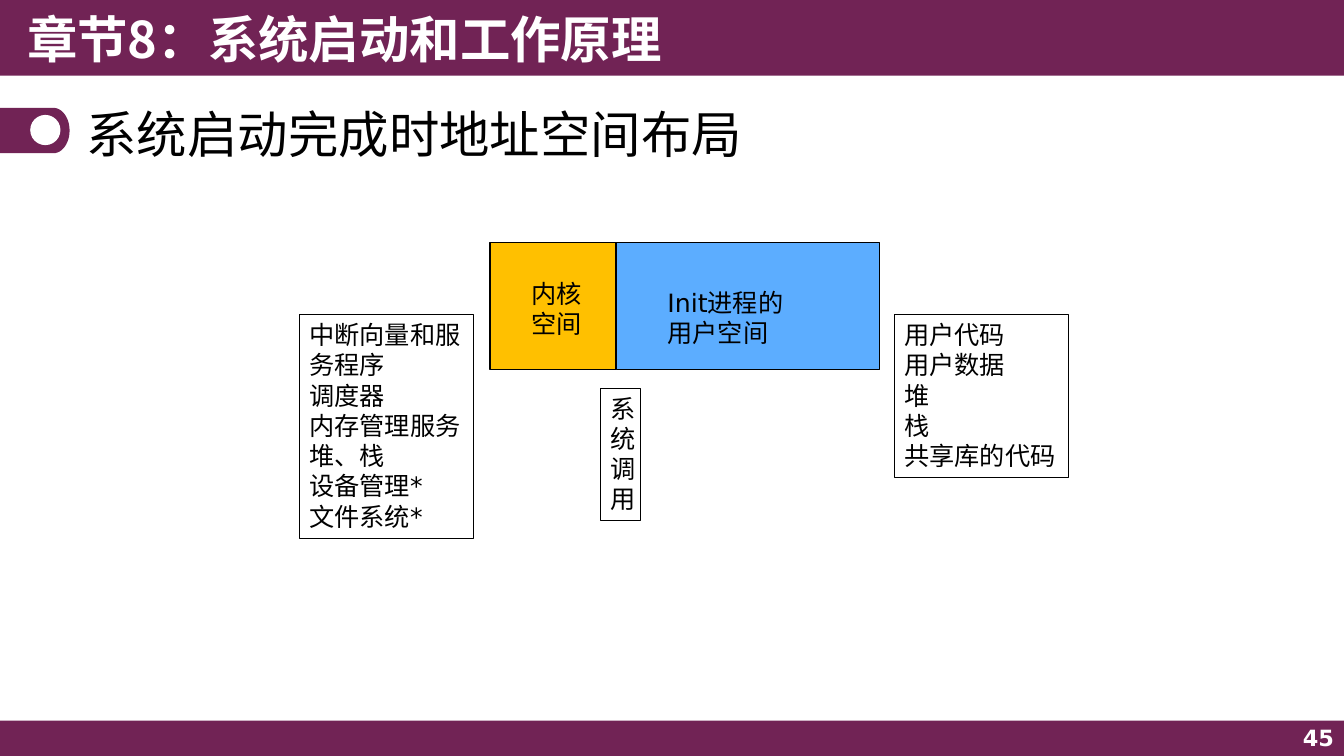
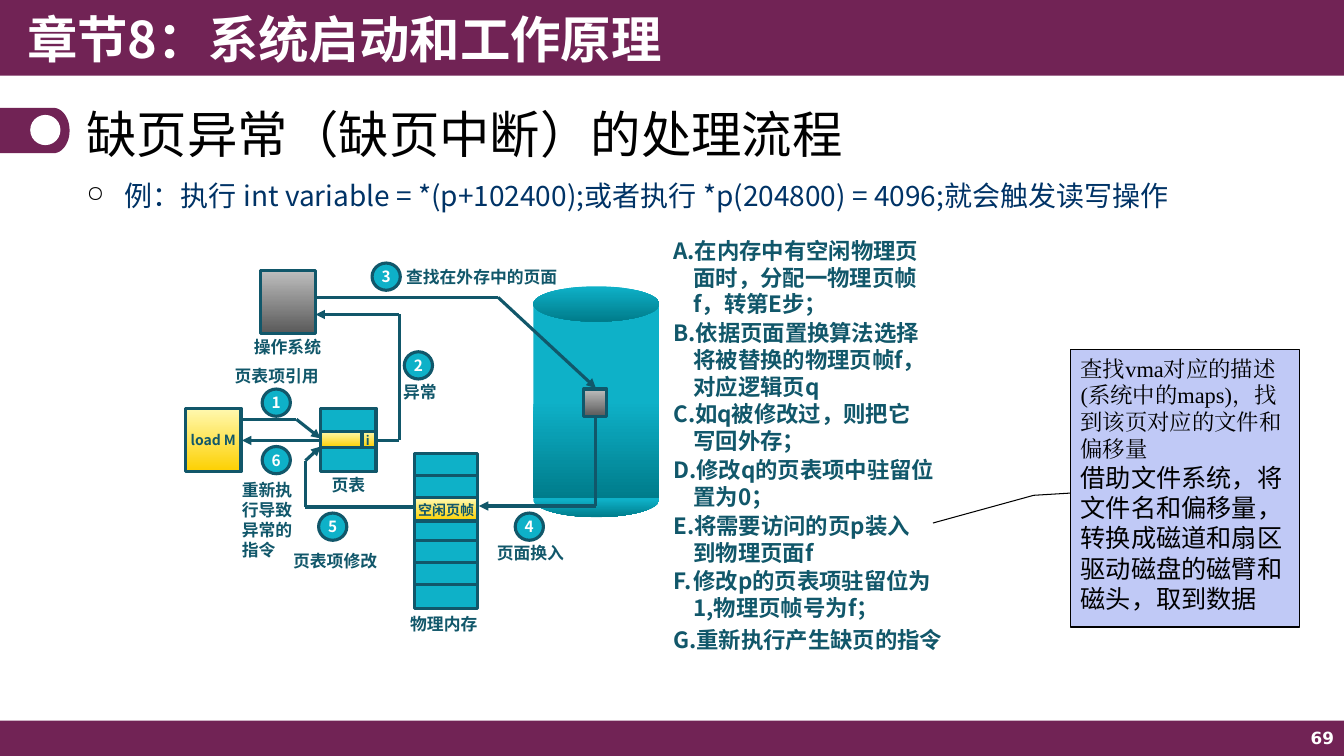
from itertools import pairwise
from math import cos, pi, sin

from lxml.etree import SubElement
from pptx import Presentation
from pptx.dml.color import RGBColor
from pptx.enum.shapes import MSO_CONNECTOR, MSO_SHAPE
from pptx.enum.text import MSO_ANCHOR, PP_ALIGN
from pptx.oxml.ns import qn
from pptx.util import Inches, Pt

PLUM = RGBColor(0x71, 0x23, 0x55)
WHITE = RGBColor(0xFF, 0xFF, 0xFF)
BLACK = RGBColor(0, 0, 0)
BLUE = RGBColor(0x5C, 0xAD, 0xFF)
GOLD = RGBColor(0xFF, 0xC0, 0x00)
NAVY = RGBColor(0x00, 0x33, 0x66)
TEAL = RGBColor(0x11, 0x57, 0x6A)
CYAN = RGBColor(0x0E, 0xB1, 0xC8)
DEEP = RGBColor(0x00, 0x7C, 0x8B)
LILAC = RGBColor(0xC0, 0xC9, 0xF6)
CREAM = RGBColor(0xFF, 0xF9, 0xB1)
AMBER = RGBColor(0xFD, 0xD0, 0x00)
SILVER = RGBColor(0xBF, 0xBF, 0xBF)
GREY = RGBColor(0x59, 0x59, 0x59)

YELLOW = (CREAM, AMBER, 0)
METAL = (SILVER, GREY, 0)
WATER = (CYAN, DEEP, 0)
DEPTH = (CYAN, DEEP, 0.5)

CJK = "Noto Sans CJK SC"
SANS = "DejaVu Sans"
SERIF = "Times New Roman"
RECT = MSO_SHAPE.RECTANGLE
OVAL = MSO_SHAPE.OVAL
WIDE, HIGH = 13.33, 7.5


def write(frame, text, size, color, font=CJK, east=CJK, bold=False, align=PP_ALIGN.LEFT):
    """Add one paragraph to a frame and return it."""
    first = frame.paragraphs[0]
    para = frame.add_paragraph() if first.runs else first
    para.alignment = align
    para.line_spacing = Pt(round(size * 1.2, 1))
    run = para.add_run()
    run.text = text
    run.font.size = Pt(size)
    run.font.name = font
    run.font.bold = bold
    run.font.color.rgb = color
    SubElement(run.font._element, qn("a:ea")).set("typeface", east)
    return para


def setup(frame, anchor=MSO_ANCHOR.TOP, wrap=True, left=0.1, top=0.05):
    """Set the anchor, wrapping and insets of a frame."""
    frame.word_wrap = wrap
    frame.vertical_anchor = anchor
    frame.margin_left = Inches(left)
    frame.margin_top = Inches(top)
    return frame


def area(slide, x, y, w, h, **opts):
    """Add a text box and return its frame."""
    box = slide.shapes.add_textbox(Inches(x), Inches(y), Inches(w), Inches(h))
    return setup(box.text_frame, **opts)


def paint(shape, fill=None, line=None, width=2.25):
    """Give a shape a plain, graded or empty fill and an outline."""
    shape.shadow.inherit = False
    if fill is None:
        shape.fill.background()
    elif isinstance(fill, RGBColor):
        shape.fill.solid()
        shape.fill.fore_color.rgb = fill
    else:
        shape.fill.gradient()
        shape.fill.gradient_angle = 270
        for stop, color, place in zip(shape.fill.gradient_stops, fill, (fill[2], 1)):
            stop.color.rgb = color
            stop.position = place
    if line is None:
        shape.line.fill.background()
    else:
        shape.line.color.rgb = line
        shape.line.width = Pt(width)


def block(slide, kind, x, y, w, h, fill=None, line=None, width=2.25):
    """Add a painted preset shape."""
    shape = slide.shapes.add_shape(kind, Inches(x), Inches(y), Inches(w), Inches(h))
    paint(shape, fill, line, width)
    return shape


def route(slide, *points, arrow=True):
    """Join points with straight lines, ending in an arrowhead."""
    for start, end in pairwise(points):
        ends = [Inches(v) for v in (*start, *end)]
        link = slide.shapes.add_connector(MSO_CONNECTOR.STRAIGHT, *ends)
        link.line.color.rgb = TEAL
        link.line.width = Pt(2.25)
        if arrow and end == points[-1]:
            SubElement(link.line._get_or_add_ln(), qn("a:tailEnd")).set("type", "triangle")
        SubElement(link._element.spPr, qn("a:effectLst"))


def label(slide, text, x, y, w, h=0.3, size=12):
    """Add a bold teal label."""
    write(area(slide, x, y, w, h), text, size, TEAL, bold=True)


def center(shape, text, size, color):
    """Put short bold text in the middle of a shape."""
    frame = setup(shape.text_frame, MSO_ANCHOR.MIDDLE, False)
    write(frame, text, size, color, bold=True, align=PP_ALIGN.CENTER)


def badge(slide, num, x, y):
    """Add a numbered step circle."""
    center(block(slide, OVAL, x, y, 0.28, 0.27, CYAN, TEAL), str(num), 11, WHITE)


def marker(slide, y, w=0.69, h=0.45):
    """Draw the rounded tab and its dot beside the title."""
    rx, ry, steps = 0.16, h / 2, 24
    turns = [pi * (i / steps - 0.5) for i in range(steps + 1)]
    arc = [(w - rx + rx * cos(t), y + ry + ry * sin(t)) for t in turns]
    form = slide.shapes.build_freeform(0, Inches(y), scale=1.0)
    form.add_line_segments([(Inches(a), Inches(b)) for a, b in [*arc, (0, y + h)]])
    paint(form.convert_to_shape(), PLUM)
    block(slide, OVAL, 0.3, y + 0.07, 0.3, 0.3, WHITE)


def base(deck, title, num, size):
    """Add a slide with bands, chapter, title and page number."""
    slide = deck.slides.add_slide(deck.slide_layouts[6])
    block(slide, RECT, 0, 7.15, WIDE, 0.35, PLUM)
    block(slide, RECT, 0, 0, WIDE, 0.75, PLUM)
    marker(slide, 1.07)
    write(area(slide, 0.17, 0.03, 7.6, 0.74), "章节8：系统启动和工作原理", 36, WHITE, bold=True)
    write(area(slide, 0.76, 0.95, 11.81, 0.74, anchor=MSO_ANCHOR.MIDDLE), title, 36, BLACK)
    page = area(slide, 10.33, 7.14, 3, 0.36, anchor=MSO_ANCHOR.MIDDLE)
    write(page, str(num), size, WHITE, SANS, bold=True, align=PP_ALIGN.RIGHT)
    return slide


def panel(slide, lines, x, y, w, h, fill=None, left=0.1, top=0.05):
    """Add a thinly outlined box with lines of text."""
    shape = block(slide, RECT, x, y, w, h, fill, BLACK, 0.75)
    frame = setup(shape.text_frame, left=left, top=top)
    for text in lines:
        write(frame, text, 18, BLACK, SANS)


def space(slide, x, y):
    """Draw the address space and the boxes around it."""
    panel(slide, ["内核", "空间"], x, y, 1.25, 1.26, GOLD, 0.41, 0.35)
    panel(slide, ["Init进程的", "用户空间"], x + 1.25, y, 2.61, 1.26, BLUE, 0.51, 0.44)
    panel(slide, ["中断向量和服务程序", "调度器", "内存管理服务", "堆、栈", "设备管理*", "文件系统*"],
          x - 1.89, y + 0.71, 1.73, 2.22)
    panel(slide, ["用户代码", "用户数据", "堆", "栈", "共享库的代码"], x + 4.01, y + 0.71, 1.73, 1.62)
    panel(slide, ["系统调用"], x + 1.1, y + 1.44, 0.39, 1.31)


def disk(slide, x, y):
    """Draw the disk cylinder with a page on it."""
    block(slide, OVAL, x, y + 1.94, 1.25, 0.35, DEPTH)
    block(slide, RECT, x, y + 0.18, 1.25, 1.92, DEPTH)
    block(slide, OVAL, x, y, 1.25, 0.35, WATER)
    block(slide, RECT, x + 0.5, y + 1.02, 0.23, 0.27, METAL, TEAL)


def table(slide, x, y):
    """Draw the page table with its marked entry."""
    block(slide, RECT, x, y, 0.55, 0.63, CYAN, TEAL)
    block(slide, RECT, x, y + 0.23, 0.55, 0.16, YELLOW, TEAL)
    route(slide, (x + 0.41, y + 0.23), (x + 0.41, y + 0.39), arrow=False)
    label(slide, "i", x + 0.35, y + 0.2, 0.25, 0.25, 9)
    label(slide, "页表", x + 0.01, y + 0.61, 1.2)


def memory(slide, x, y):
    """Draw physical memory with its free frame."""
    block(slide, RECT, x, y, 0.63, 1.54, CYAN, TEAL)
    for row in (1, 4, 5, 6):
        level = y + row * 0.22 - (0.02 if row > 1 else 0)
        route(slide, (x, level), (x + 0.63, level), arrow=False)
    center(block(slide, RECT, x, y + 0.44, 0.63, 0.23, YELLOW, TEAL), "空闲页帧", 10, TEAL)
    label(slide, "物理内存", x - 0.14, y + 1.54, 1.02)


def flow(slide, x, y):
    """Draw the page fault parts, arrows and step labels."""
    disk(slide, x + 3.45, y + 0.24)
    block(slide, RECT, x + 0.74, y + 0.08, 0.55, 0.63, METAL, TEAL)
    label(slide, "操作系统", x + 0.58, y + 0.69, 1.02)
    center(block(slide, RECT, x, y + 1.45, 0.55, 0.63, YELLOW, TEAL), "load M", 10, TEAL)
    table(slide, x + 1.34, y + 1.45)
    memory(slide, x + 2.27, y + 1.9)
    routes = [
        [(0.56, 1.56), (1.1, 1.56), (1.34, 1.75)],
        [(1.88, 1.77), (2.12, 1.77), (2.12, 0.52), (1.29, 0.52)],
        [(1.3, 0.35), (3.1, 0.35), (4.07, 1.25)],
        [(4.07, 1.53), (4.07, 2.42), (2.91, 2.42)],
        [(2.27, 2.43), (1.19, 2.43), (1.19, 1.97), (1.34, 1.83)],
        [(1.34, 1.77), (0.56, 1.77)],
    ]
    for points in routes:
        route(slide, *[(x + a, y + b) for a, b in points])
    steps = [
        ((0.76, 1.26), "页表项引用", (0.39, 0.98, 1.1)),
        ((2.17, 0.89), "异常", (2.06, 1.14, 0.6)),
        ((1.85, 0.01), "查找在外存中的页面", (2.09, 0, 1.87)),
        ((3.27, 2.49), "页面换入", (2.99, 2.74, 1.1)),
        ((1.32, 2.49), "页表项修改", (0.97, 2.81, 1.1)),
        ((0.76, 1.83), "重新执行导致异常的指令", (0.46, 2.11, 0.79)),
    ]
    for num, ((a, b), text, (left, top, w)) in enumerate(steps, 1):
        badge(slide, num, x + a, y + b)
        label(slide, text, x + left, y + top, w)


def listing(slide, x, y):
    """Write the lettered handling steps."""
    items = [
        ("在内存中有空闲物理页面时，分配一物理页帧f，转第E步；", 0, 2.8, 0.91),
        ("依据页面置换算法选择将被替换的物理页帧f，对应逻辑页q", 0.82, 2.8, 0.91),
        ("如q被修改过，则把它写回外存；", 1.62, 2.75, 0.64),
        ("修改q的页表项中驻留位置为0；", 2.18, 2.95, 0.64),
        ("将需要访问的页p装入到物理页面f", 2.73, 2.75, 0.64),
        ("修改p的页表项驻留位为1,物理页帧号为f；", 3.28, 2.93, 0.64),
        ("重新执行产生缺页的指令", 3.86, 3.03, 0.37),
    ]
    for num, (text, drop, w, h) in enumerate(items, 1):
        para = write(area(slide, x, y + drop, w, h), text, 16, TEAL, bold=True)
        mark = bullet(para, 0.2, "a:buAutoNum")
        mark.set("type", "alphaUcPeriod")
        mark.set("startAt", str(num))


def bullet(para, indent, tag):
    """Give a paragraph a hanging indent and a bullet element."""
    props = para._p.get_or_add_pPr()
    props.set("marL", str(Inches(indent)))
    props.set("indent", str(-Inches(indent)))
    return SubElement(props, qn(tag))


def example(slide, x, y):
    """Write the bulleted example line."""
    text = "例：执行 int variable = *(p+102400);或者执行 *p(204800) = 4096;就会触发读写操作"
    para = write(area(slide, x, y, 11.81, 0.5), text, 20, NAVY)
    tint = bullet(para, 0.38, "a:buClr")
    SubElement(tint, qn("a:srgbClr")).set("val", str(BLACK))
    bullet(para, 0.38, "a:buSzPct").set("val", "80000")
    bullet(para, 0.38, "a:buChar").set("char", "○")


def note(slide, x, y):
    """Add the callout that explains loading the page."""
    shape = block(slide, MSO_SHAPE.LINE_CALLOUT_2, x, y, 2.27, 2.75, LILAC, BLACK, 0.75)
    for i, value in enumerate((0.625, -0.602, 0.525, -0.162, 0.517, -0.002)):
        shape.adjustments[i] = value
    frame = setup(shape.text_frame)
    write(frame, "查找vma对应的描述 (系统中的maps)，找到该页对应的文件和偏移量", 16, BLACK, SERIF, SERIF)
    for text in ("借助文件系统，将文件名和偏移量，转换成磁道和扇区", "驱动磁盘的磁臂和磁头，取到数据"):
        write(frame, text, 18, BLACK, SERIF)


def main():
    """Build and save both slides."""
    deck = Presentation()
    deck.slide_width, deck.slide_height = Inches(WIDE), Inches(HIGH)
    space(base(deck, "系统启动完成时地址空间布局", 45, 16), 4.86, 2.41)
    fault = base(deck, "缺页异常（缺页中断）的处理流程", 69, 12)
    example(fault, 0.76, 1.72)
    flow(fault, 1.84, 2.6)
    listing(fault, 6.58, 2.3)
    note(fault, 10.62, 3.47)
    deck.save("out.pptx")


if __name__ == "__main__":
    main()
